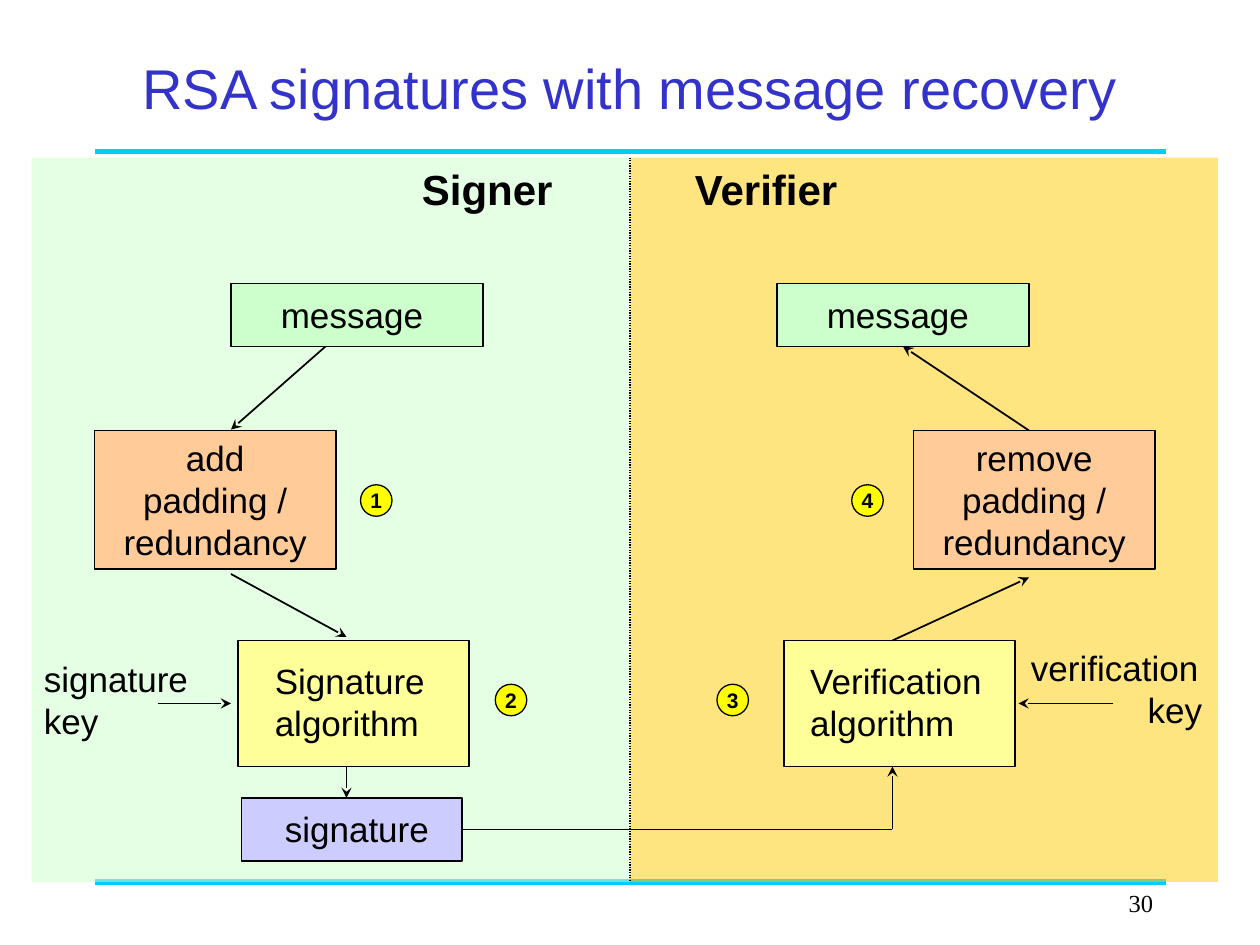
from lxml import etree
from pptx import Presentation
from pptx import util as u
from pptx.dml.color import RGBColor
from pptx.enum import dml, shapes, text
from pptx.oxml.ns import qn

Pt = u.Pt
COLORS = {
    "ink": "000000", "title": "3333CC", "rule": "00CCFF",
    "signer": "CCFFCC", "verifier": "FFCC00", "message": "CCFFCC",
    "padding": "FFCC99", "algorithm": "FFFF99", "signature": "CCCCFF",
    "badge": "FFFF00",
}
LEFT, CENTER, RIGHT = text.PP_ALIGN.LEFT, text.PP_ALIGN.CENTER, text.PP_ALIGN.RIGHT
TOP, MIDDLE = text.MSO_ANCHOR.TOP, text.MSO_ANCHOR.MIDDLE


def rgb(name):
    return RGBColor.from_string(COLORS[name])


def write(frame, wording, size=20, font="Arial", color="ink", bold=False,
          aligns=(CENTER,), anchor=MIDDLE, insets=(7.2, 3.6, 7.2, 3.6), wrap=True):
    frame.word_wrap = wrap
    frame.vertical_anchor = anchor
    (frame.margin_left, frame.margin_top,
     frame.margin_right, frame.margin_bottom) = map(Pt, insets)
    for index, line in enumerate(wording.split("\n")):
        paragraph = frame.add_paragraph() if index else frame.paragraphs[0]
        paragraph.text = line
        paragraph.alignment = aligns[min(index, len(aligns) - 1)]
        paragraph.line_spacing = Pt(size * 1.2)
        paragraph.font.size = Pt(size)
        paragraph.font.name = font
        paragraph.font.bold = bold
        paragraph.font.color.rgb = rgb(color)


def add_label(slide, bounds, wording, **style):
    label = slide.shapes.add_textbox(*map(Pt, bounds))
    write(label.text_frame, wording, anchor=TOP, **style)


def add_node(slide, bounds, color, wording, weight=1,
             outline=shapes.MSO_SHAPE.RECTANGLE, **style):
    node = slide.shapes.add_shape(outline, *map(Pt, bounds))
    node.shadow.inherit = False
    node.fill.solid()
    node.fill.fore_color.rgb = rgb(color)
    node.line.color.rgb = rgb("ink")
    node.line.width = Pt(weight)
    write(node.text_frame, wording, **style)


def add_panel(slide, bounds, color):
    panel = slide.shapes.add_shape(shapes.MSO_SHAPE.RECTANGLE, *map(Pt, bounds))
    panel.shadow.inherit = False
    panel.fill.solid()
    panel.fill.fore_color.rgb = rgb(color)
    panel.line.fill.background()
    tint = panel._element.spPr.find(qn("a:solidFill"))[0]
    etree.SubElement(tint, qn("a:alpha")).set("val", "50000")


def add_line(slide, ends, color="ink", weight=1, arrow=False, dash=None):
    line = slide.shapes.add_connector(shapes.MSO_CONNECTOR.STRAIGHT, *map(Pt, ends))
    line.line.color.rgb = rgb(color)
    line.line.width = Pt(weight)
    if dash:
        line.line.dash_style = dash
    if arrow:
        etree.SubElement(line.line._get_or_add_ln(), qn("a:tailEnd")).set("type", "stealth")
    etree.SubElement(line._element.spPr, qn("a:effectLst"))


def add_title(slide, wording):
    title = slide.shapes.title
    title.left, title.top, title.width, title.height = map(Pt, (54, 4.5, 612, 90))
    write(title.text_frame, wording, size=32, color="title")


def add_nodes(slide):
    for left, wording in ((54, "add\npadding /\nredundancy"),
                          (522, "remove padding /\nredundancy")):
        add_node(slide, (left, 246, 138, 79.2), "padding", wording, weight=0.75)
    for left in (132, 444):
        add_node(slide, (left, 162, 144, 36), "message", "message",
                 insets=(7.2, 3.6, 12.8, 3.6))
    for left, indent, wording in ((136, 21, "Signature\nalgorithm"),
                                  (448, 15, "Verification\nalgorithm")):
        add_node(slide, (left, 366, 132, 72), "algorithm", wording,
                 aligns=(LEFT,), insets=(indent, 3.6, 7.2, 6))
    add_node(slide, (138, 456, 126, 36), "signature", "signature",
             insets=(13, 3.6, 7.2, 5.2))


def add_arrows(slide):
    for ends in (
        (186, 198, 132, 245.5), (132, 328, 198, 364), (90, 402, 132, 402),
        (198, 438, 198, 456), (510, 474, 510, 438), (636, 402, 582, 402),
        (510, 366, 588, 330), (588, 246, 516, 198),
    ):
        add_line(slide, ends, arrow=True)
    add_line(slide, (264, 474, 510, 474))


def add_badges(slide):
    corners = ((206, 277), (283, 391), (409.7, 391), (486.7, 277))
    for number, corner in enumerate(corners, 1):
        add_node(slide, (*corner, 18, 18), "badge", str(number), weight=0.75,
                 outline=shapes.MSO_SHAPE.FLOWCHART_CONNECTOR, size=12,
                 bold=True, insets=(0, 0, 0, 0), wrap=False)


def main():
    deck = Presentation()
    deck.slide_width, deck.slide_height = Pt(720), Pt(540)
    slide = deck.slides.add_slide(deck.slide_layouts[5])

    add_title(slide, "RSA signatures with message recovery")
    for height in (504, 86.4):
        add_line(slide, (54, height, 666, height), color="rule", weight=3)
    add_label(slide, (516, 504, 150, 36), "30", size=14,
              font="Times New Roman", aligns=(RIGHT,))
    add_panel(slide, (360, 90, 336, 414), "verifier")
    add_panel(slide, (18, 90, 342, 414), "signer")
    add_nodes(slide)
    add_line(slide, (360, 90, 360, 504), weight=0.75, dash=dml.MSO_LINE.ROUND_DOT)
    add_label(slide, (234, 90, 96, 36), "Signer", size=24, bold=True, aligns=(LEFT,))
    add_label(slide, (390, 90, 120, 36), "Verifier", size=24, bold=True, aligns=(LEFT,))
    add_label(slide, (18, 372, 108, 55.2), "signature\nkey", aligns=(LEFT,))
    add_label(slide, (582, 366, 112, 55.2), "verification\nkey", aligns=(LEFT, RIGHT))
    add_arrows(slide)
    add_badges(slide)
    deck.save("out.pptx")


if __name__ == "__main__":
    main()
